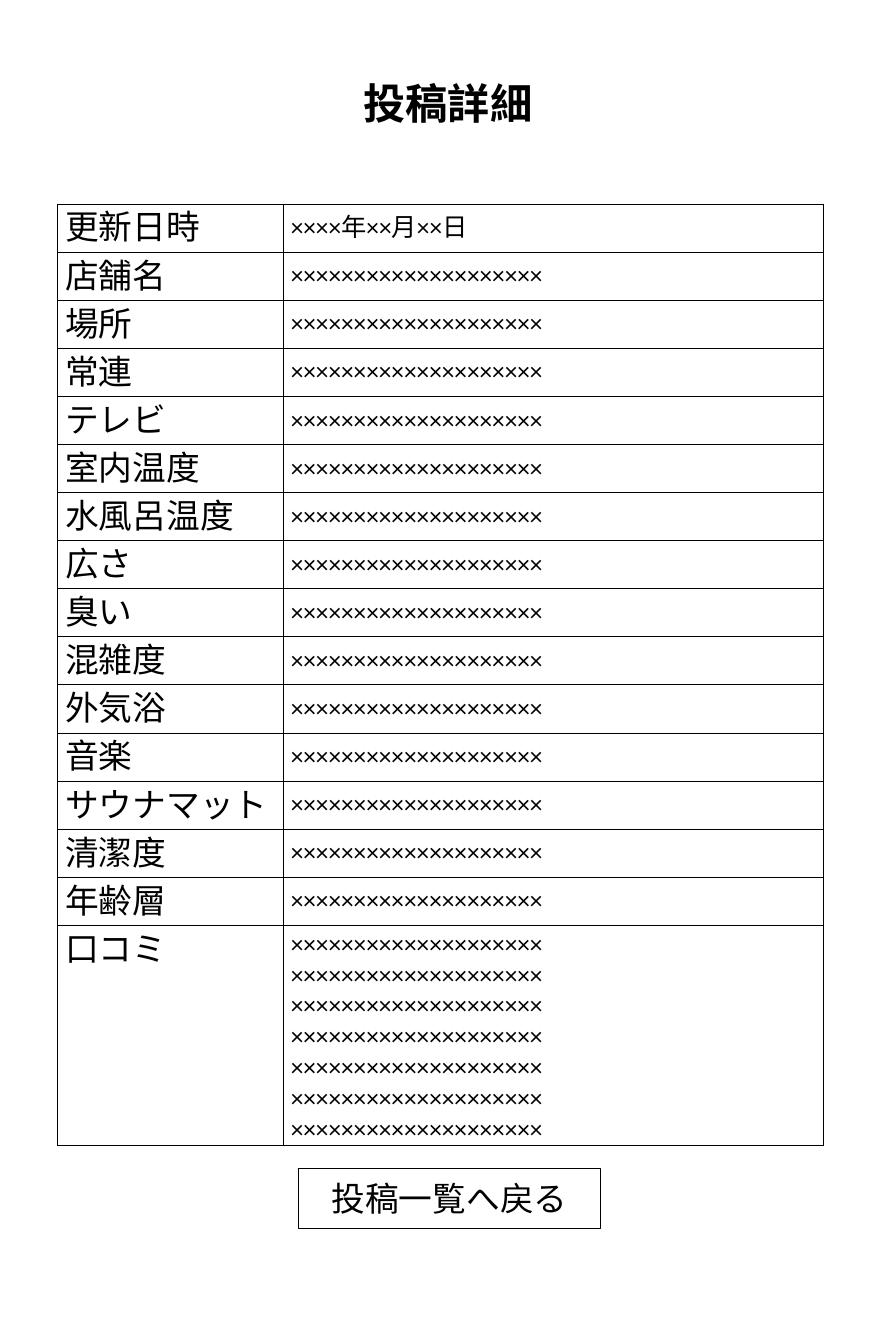
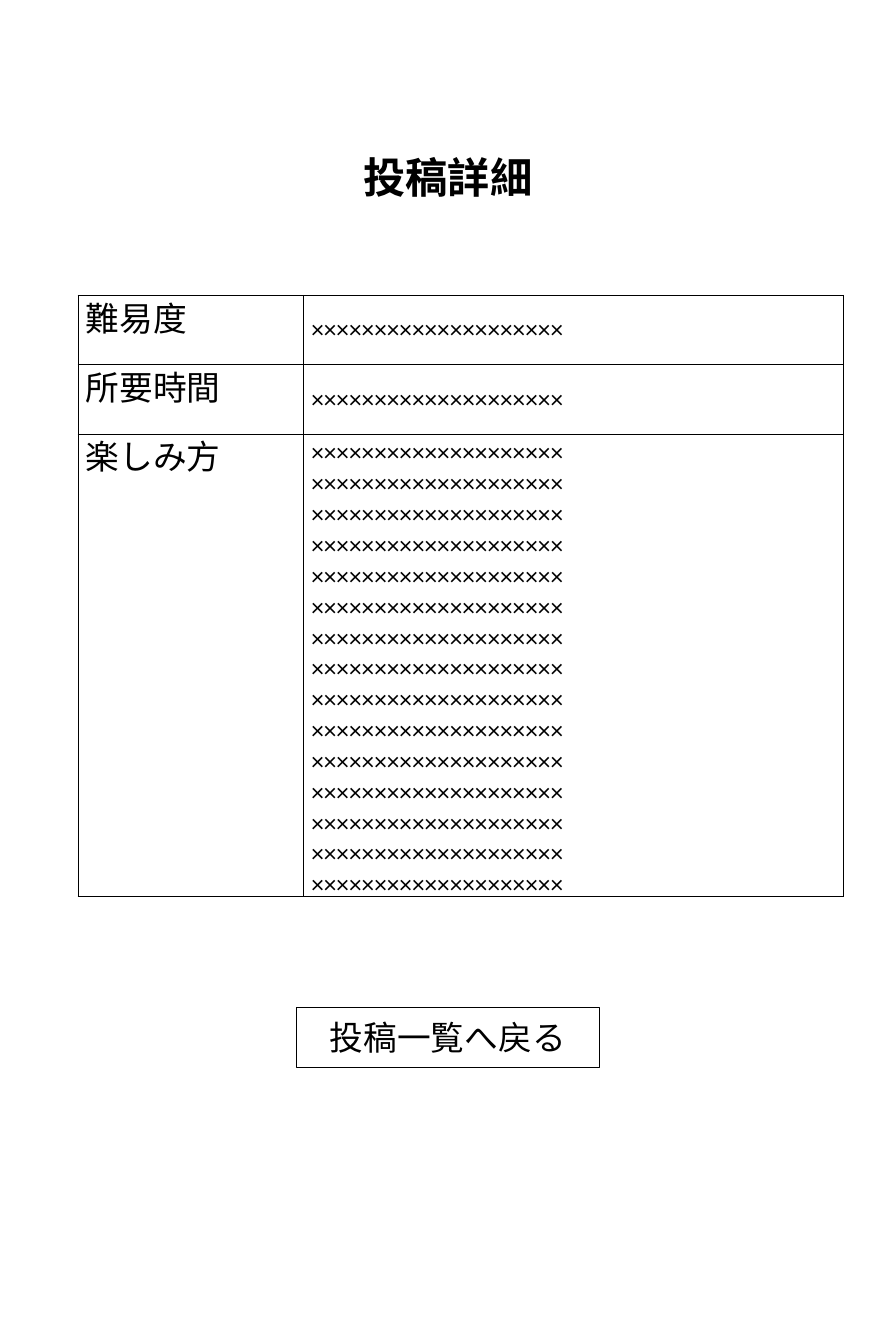
from dataclasses import dataclass

from lxml.etree import SubElement
from pptx import Presentation
from pptx.dml.color import RGBColor
from pptx.enum.shapes import MSO_SHAPE
from pptx.enum.text import MSO_ANCHOR, MSO_AUTO_SIZE, PP_ALIGN
from pptx.oxml import parse_xml
from pptx.oxml.ns import nsdecls, qn
from pptx.slide import Slide
from pptx.table import _Cell
from pptx.text.text import _Paragraph
from pptx.util import Pt


@dataclass(frozen=True)
class Theme:
    font: str = "Calibri"
    ink: str = "000000"
    title: float = 40
    label: float = 32
    value: float = 24
    line: float = 1


@dataclass(frozen=True)
class Row:
    label: str
    lines: tuple[str, ...]
    height: float


@dataclass(frozen=True)
class Page:
    title_top: float
    table_left: float
    table_top: float
    rows: list[Row]
    button_left: float
    button_top: float


THEME = Theme()
SLIDE_W, SLIDE_H = 850.4, 1275.6
TITLE, BUTTON = "投稿詳細", "投稿一覧へ戻る"
TITLE_LEFT, TITLE_W, TITLE_H = 280.1, 290.2, 55.4
BUTTON_W, BUTTON_H = 287.3, 56.9
COLUMNS = (214.2, 512.6)
ROW_H = 29.2
DUMMY = "×" * 20

# Page contents
FIELDS = ("店舗名", "場所", "常連", "テレビ", "室内温度", "水風呂温度", "広さ", "臭い",
          "混雑度", "外気浴", "音楽", "サウナマット", "清潔度", "年齢層")
POST_ROWS = [
    Row("更新日時", ("××××年××月××日",), ROW_H),
    *(Row(field, (DUMMY,), ROW_H) for field in FIELDS),
    Row("口コミ", (DUMMY,) * 7, ROW_H),
]
GUIDE_ROWS = [
    Row("難易度", (DUMMY,), 65.8),
    Row("所要時間", (DUMMY,), 65.8),
    Row("楽しみ方", (DUMMY,) * 15, 301),
]
PAGES = [
    Page(69.8, 54.6, 193.7, POST_ROWS, 283, 1108.8),
    Page(140.4, 74.1, 280.4, GUIDE_ROWS, 281.4, 956.2),
]


def add_run(p: _Paragraph, text: str, size: float, bold: bool = False) -> None:
    r = p.add_run()
    r.text = text
    r.font.name = THEME.font
    r.font.size = Pt(size)
    r.font.bold = bold
    r.font.color.rgb = RGBColor.from_string(THEME.ink)
    # Japanese characters take the East Asian font
    SubElement(r.font._element, qn("a:ea"), typeface=THEME.font)


def set_borders(cell: _Cell) -> None:
    tc_pr = cell._tc.get_or_add_tcPr()
    for i, side in enumerate(("lnL", "lnR", "lnT", "lnB")):
        tc_pr.insert(i, parse_xml(
            f'<a:{side} {nsdecls("a")} w="{Pt(THEME.line)}"><a:solidFill>'
            f'<a:srgbClr val="{THEME.ink}"/></a:solidFill></a:{side}>'))


def fill_cell(cell: _Cell, lines: tuple[str, ...], size: float,
              anchor: MSO_ANCHOR) -> None:
    cell.fill.background()
    cell.vertical_anchor = anchor
    set_borders(cell)
    tf = cell.text_frame
    for i, line in enumerate(lines):
        p = tf.add_paragraph() if i else tf.paragraphs[0]
        add_run(p, line, size)


def add_title(s: Slide, top: float) -> None:
    sp = s.shapes.title
    sp.left, sp.top = Pt(TITLE_LEFT), Pt(top)
    sp.width, sp.height = Pt(TITLE_W), Pt(TITLE_H)
    tf = sp.text_frame
    tf.word_wrap = True
    tf.auto_size = MSO_AUTO_SIZE.SHAPE_TO_FIT_TEXT
    tf.vertical_anchor = MSO_ANCHOR.TOP
    p = tf.paragraphs[0]
    p.alignment = PP_ALIGN.CENTER
    add_run(p, TITLE, THEME.title, bold=True)


def add_detail_table(s: Slide, page: Page) -> None:
    height = sum(row.height for row in page.rows)
    table = s.shapes.add_table(
        len(page.rows), len(COLUMNS), Pt(page.table_left), Pt(page.table_top),
        Pt(sum(COLUMNS)), Pt(height)).table
    table.first_row = table.horz_banding = False
    for column, width in zip(table.columns, COLUMNS):
        column.width = Pt(width)
    for i, row in enumerate(page.rows):
        table.rows[i].height = Pt(row.height)
        fill_cell(table.cell(i, 0), (row.label,), THEME.label, MSO_ANCHOR.TOP)
        fill_cell(table.cell(i, 1), row.lines, THEME.value, MSO_ANCHOR.MIDDLE)


def add_back_button(s: Slide, left: float, top: float) -> None:
    sp = s.shapes.add_shape(MSO_SHAPE.RECTANGLE, Pt(left), Pt(top),
                            Pt(BUTTON_W), Pt(BUTTON_H))
    sp.shadow.inherit = False
    sp.fill.background()
    sp.line.color.rgb = RGBColor.from_string(THEME.ink)
    sp.line.width = Pt(THEME.line)
    tf = sp.text_frame
    tf.word_wrap = True
    tf.vertical_anchor = MSO_ANCHOR.MIDDLE
    p = tf.paragraphs[0]
    p.alignment = PP_ALIGN.CENTER
    add_run(p, BUTTON, THEME.label)


def main() -> None:
    prs = Presentation()
    prs.slide_width, prs.slide_height = Pt(SLIDE_W), Pt(SLIDE_H)
    title_only = prs.slide_layouts[5]
    for page in PAGES:
        s = prs.slides.add_slide(title_only)
        add_title(s, page.title_top)
        add_detail_table(s, page)
        add_back_button(s, page.button_left, page.button_top)
    prs.save("out.pptx")


if __name__ == "__main__":
    main()
